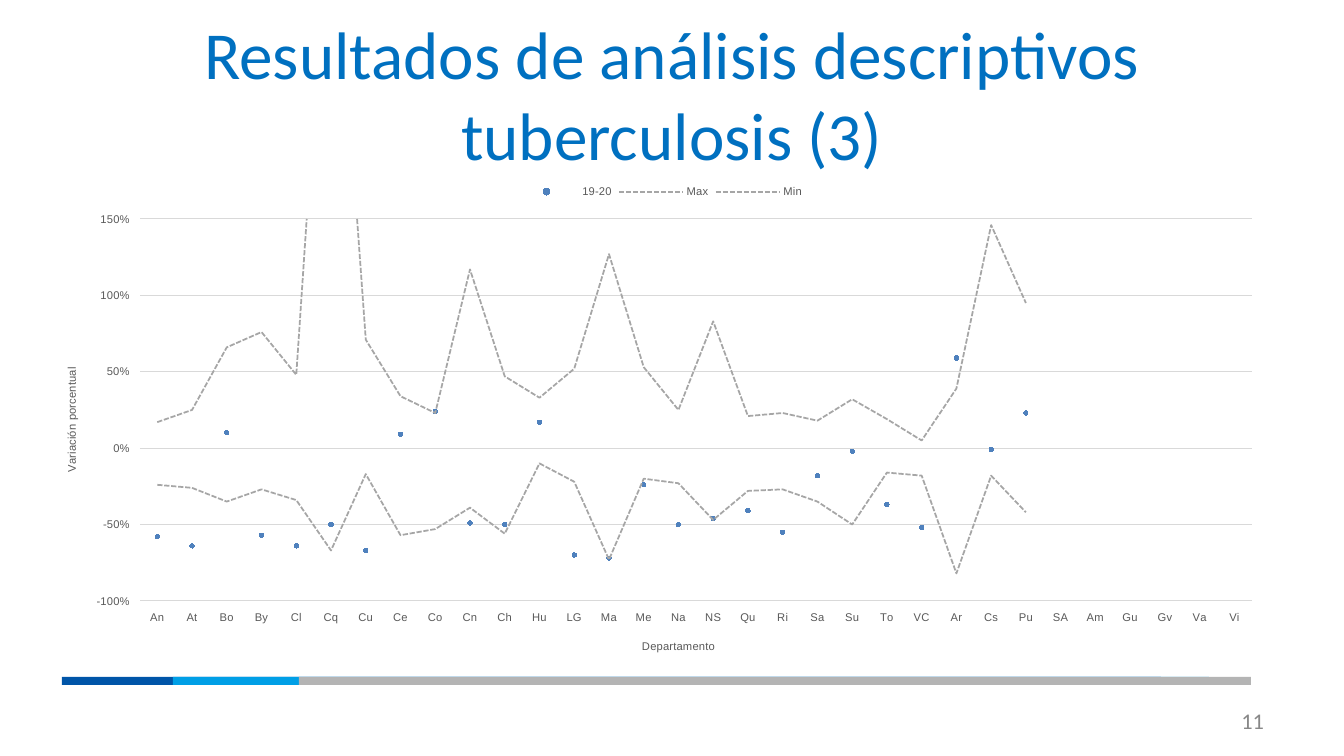
import pptx
import pptx.chart.data
import pptx.dml.color
import pptx.enum.chart
import pptx.enum.dml
import pptx.enum.shapes
import pptx.enum.text
import pptx.oxml
import pptx.util
from pptx.oxml.ns import qn

TITLE = "Resultados de análisis descriptivos tuberculosis (3)"
PAGE_NUMBER = "11"
DEPARTMENTS = ("An At Bo By Cl Cq Cu Ce Co Cn Ch Hu LG Ma Me Na NS Qu Ri Sa Su To VC "
               "Ar Cs Pu SA Am Gu Gv Va Vi").split()
VARIATION = {
    "19-20": [-0.58, -0.64, 0.1, -0.57, -0.64, -0.5, -0.67, 0.09, 0.24, -0.49, -0.5, 0.17, -0.7,
              -0.72, -0.24, -0.5, -0.46, -0.41, -0.55, -0.18, -0.02, -0.37, -0.52, 0.59, -0.01, 0.23],
    "Max": [0.17, 0.25, 0.66, 0.76, 0.48, 3.88, 0.71, 0.34, 0.23, 1.17, 0.47, 0.33, 0.52,
            1.27, 0.53, 0.25, 0.83, 0.21, 0.23, 0.18, 0.32, 0.19, 0.05, 0.39, 1.46, 0.95],
    "Min": [-0.24, -0.26, -0.35, -0.27, -0.34, -0.67, -0.17, -0.57, -0.53, -0.39, -0.56, -0.1, -0.22,
            -0.73, -0.2, -0.23, -0.47, -0.28, -0.27, -0.35, -0.5, -0.16, -0.18, -0.82, -0.18, -0.42],
}
COLORS = {"title": "0070C0", "number": "888888", "label": "595959", "grid": "D9D9D9",
          "point": "4F81BD", "limit": "A6A6A6",
          "navy": "0055A8", "sky": "009FE6", "gray": "B4B4B4"}
STRIPES = [("navy", 62, 1161), ("sky", 173, 1209), ("gray", 299, 1251)]  # color, left, right
STRIPE_TOP, STRIPE_HEIGHT = 677, 8
TITLE_BOX = (67, 30, 1210, 126)
NUMBER_BOX = (964, 701, 313, 40)
CHART_BOX = (40, 174, 1237, 495)
PLOT_BOX = (140, 219, 1112, 382)
AXIS_TITLES = {"category_axis": ("Departamento", (640, 637), 0),
               "value_axis": ("Variación porcentual", (62, 365), -90)}  # text, corner, degrees
EMU_PER_PX = 914400 / 100.8


def px(length):
    return pptx.util.Emu(round(length * EMU_PER_PX))


def rgb(name):
    return pptx.dml.color.RGBColor.from_string(COLORS[name])


def format_font(font, color, size, name):
    for key, value in {"size": pptx.util.Pt(size), "name": name, "bold": False}.items():
        setattr(font, key, value)
    font.color.rgb = rgb(color)


def format_line(line, color, width, dash=None):
    line.color.rgb = rgb(color)
    line.width = pptx.util.Pt(width)
    if dash:
        line.dash_style = dash


def pin(element, position, corner, size=None):
    """Give a chart part a fixed place, from slide px to fractions of the chart."""
    left, top, width, height = CHART_BOX
    values = {"x": (corner[0] - left) / width, "y": (corner[1] - top) / height}
    modes = {"xMode": "edge", "yMode": "edge"}
    if size:
        modes = {"layoutTarget": "inner", **modes}
        values.update(w=size[0] / width, h=size[1] / height)
    settings = {**modes, **{key: f"{value:.4f}" for key, value in values.items()}}
    body = "".join(f'<c:{key} val="{value}"/>' for key, value in settings.items())
    for old in element.findall(qn("c:layout")):
        element.remove(old)
    element.insert(position, pptx.oxml.parse_xml(
        '<c:layout xmlns:c="http://schemas.openxmlformats.org/drawingml/2006/chart">'
        f"<c:manualLayout>{body}</c:manualLayout></c:layout>"))


def add_stripes(page):
    for color, left, right in STRIPES:
        stripe = page.shapes.add_shape(
            pptx.enum.shapes.MSO_SHAPE.RECTANGLE,
            px(left), px(STRIPE_TOP), px(right - left), px(STRIPE_HEIGHT))
        stripe.shadow.inherit = False
        stripe.fill.solid()
        stripe.fill.fore_color.rgb = rgb(color)
        stripe.line.fill.background()


def add_title(page):
    title = page.shapes.title
    for key, value in zip(("left", "top", "width", "height"), TITLE_BOX):
        setattr(title, key, px(value))
    frame = title.text_frame
    frame.text = TITLE
    frame.word_wrap = True
    frame.auto_size = pptx.enum.text.MSO_AUTO_SIZE.NONE
    frame.vertical_anchor = pptx.enum.text.MSO_ANCHOR.MIDDLE
    para = frame.paragraphs[0]
    para.alignment = pptx.enum.text.PP_ALIGN.CENTER
    format_font(para.runs[0].font, "title", 48, "Calibri")


def add_page_number(page):
    frame = page.shapes.add_textbox(*map(px, NUMBER_BOX)).text_frame
    frame.word_wrap = True
    frame.vertical_anchor = pptx.enum.text.MSO_ANCHOR.MIDDLE
    frame.margin_left = frame.margin_right = px(13)
    frame.margin_top = frame.margin_bottom = px(7)
    para = frame.paragraphs[0]
    para.alignment = pptx.enum.text.PP_ALIGN.RIGHT
    span = para.add_run()
    span.text = PAGE_NUMBER
    format_font(span.font, "number", 16, "Calibri")


def format_axes(chart):
    for axis_name, (text, corner, degrees) in AXIS_TITLES.items():
        axis = getattr(chart, axis_name)
        axis.major_tick_mark = axis.minor_tick_mark = pptx.enum.chart.XL_TICK_MARK.NONE
        axis.tick_label_position = pptx.enum.chart.XL_TICK_LABEL_POSITION.LOW
        format_font(axis.tick_labels.font, "label", 8, "Arial")
        frame = axis.axis_title.text_frame
        frame.text = text
        format_font(frame.paragraphs[0].runs[0].font, "label", 8, "Arial")
        body = axis.axis_title._element.find(".//" + qn("a:bodyPr"))
        body.set("rot", str(degrees * 60000))
        body.set("vert", "horz")
        pin(axis.axis_title._element, 1, corner)

    chart.category_axis.has_major_gridlines = False
    format_line(chart.category_axis.format.line, "grid", 0.75)
    values = chart.value_axis
    for key, value in {"minimum_scale": -1, "maximum_scale": 1.5, "major_unit": 0.5}.items():
        setattr(values, key, value)
    values.tick_labels.number_format = "0%"
    values.tick_labels.number_format_is_linked = False
    values.format.line.fill.background()
    values.has_major_gridlines = True
    format_line(values.major_gridlines.format.line, "grid", 0.75)


def format_series(plot):
    plot.vary_by_categories = False
    styles = pptx.enum.chart.XL_MARKER_STYLE
    for index, series in enumerate(plot.series):
        series.smooth = False
        if index:
            series.marker.style = styles.NONE
            format_line(series.format.line, "limit", 1.25,
                        pptx.enum.dml.MSO_LINE.SQUARE_DOT)
            continue
        series.format.line.fill.background()
        marker = series.marker
        marker.style, marker.size = styles.CIRCLE, 3
        marker.format.fill.solid()
        marker.format.fill.fore_color.rgb = rgb("point")
        format_line(marker.format.line, "point", 0.75)


def add_variation_chart(page):
    data = pptx.chart.data.CategoryChartData(number_format="0%")
    data.categories = DEPARTMENTS
    for name, values in VARIATION.items():
        data.add_series(name, values + [None] * (len(DEPARTMENTS) - len(values)))
    chart = page.shapes.add_chart(
        pptx.enum.chart.XL_CHART_TYPE.LINE_MARKERS, *map(px, CHART_BOX), data).chart
    chart.has_title = False
    format_font(chart.font, "label", 8, "Arial")
    chart.has_legend = True
    chart.legend.position = pptx.enum.chart.XL_LEGEND_POSITION.TOP
    chart.legend.include_in_layout = False
    format_font(chart.legend.font, "label", 8, "Arial")
    format_axes(chart)
    format_series(chart.plots[0])
    pin(chart._chartSpace.chart.plotArea, 0, PLOT_BOX[:2], PLOT_BOX[2:])


def main():
    deck = pptx.Presentation()
    deck.slide_width, deck.slide_height = px(1344), px(756)
    page = deck.slides.add_slide(deck.slide_layouts.get_by_name("Title Only"))
    add_page_number(page)
    add_stripes(page)
    add_title(page)
    add_variation_chart(page)
    deck.save("out.pptx")


if __name__ == "__main__":
    main()
